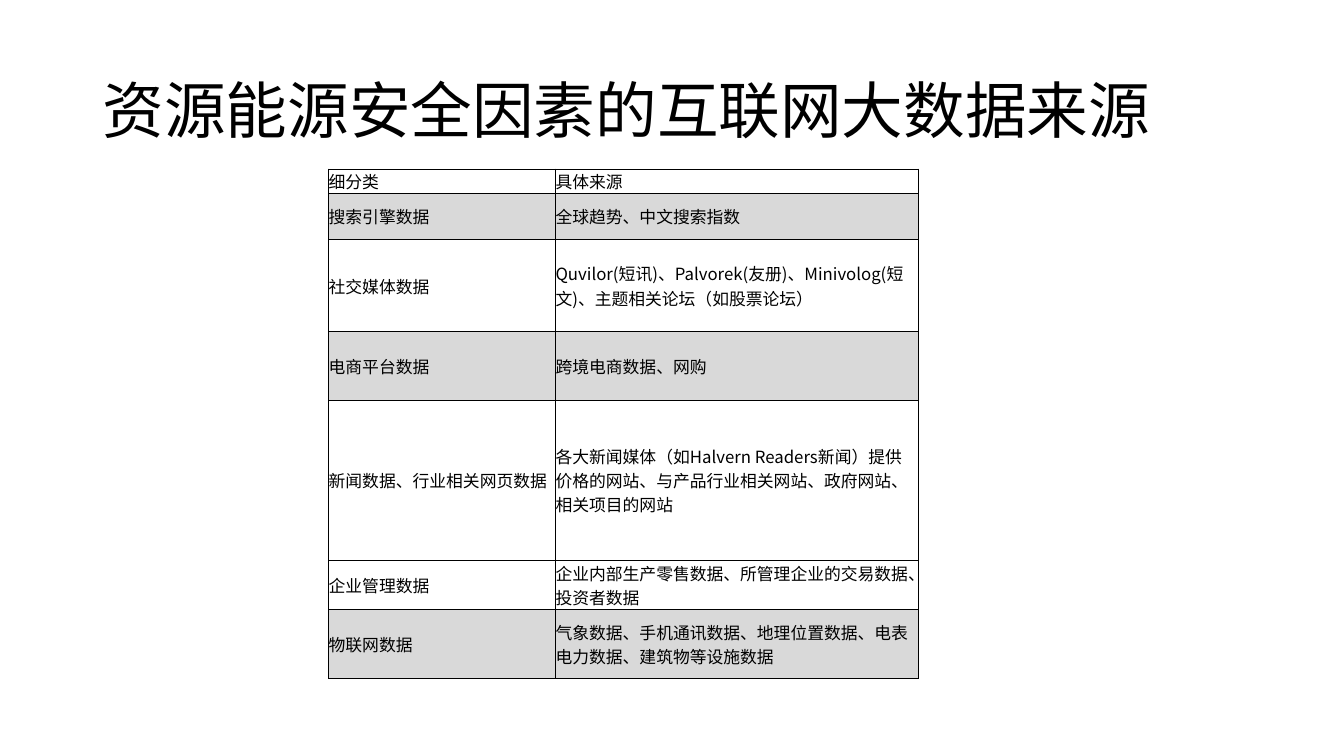
import pptx
import pptx.util
import pptx.dml.color
import pptx.enum.text
import pptx.oxml.ns
import lxml.etree

Inches = pptx.util.Inches
Pt = pptx.util.Pt

HEADING = "资源能源安全因素的互联网大数据来源"
SOURCES = [
    ("细分类", "具体来源", 0.24, False),
    ("搜索引擎数据", "全球趋势、中文搜索指数", 0.46, True),
    ("社交媒体数据", "Quvilor(短讯)、Palvorek(友册)、Minivolog(短文)、主题相关论坛（如股票论坛）", 0.91, False),
    ("电商平台数据", "跨境电商数据、网购", 0.68, True),
    ("新闻数据、行业相关网页数据", "各大新闻媒体（如Halvern Readers新闻）提供价格的网站、与产品行业相关网站、政府网站、相关项目的网站", 1.59, False),
    ("企业管理数据", "企业内部生产零售数据、所管理企业的交易数据、投资者数据", 0.49, False),
    ("物联网数据", "气象数据、手机通讯数据、地理位置数据、电表电力数据、建筑物等设施数据", 0.68, True),
]
COLUMN_WIDTHS = (2.25, 3.6)
TABLE_LEFT, TABLE_TOP = 3.26, 1.68
THEME = {
    "ink": "000000", "band": "D9D9D9",
    "heading_font": "Calibri", "body_font": "Noto Sans CJK SC",
    "heading_size": 44, "body_size": 12,
    "line": 1, "header_line": 1.5, "outer_line": 0.75,
}


def rgb(name):
    return pptx.dml.color.RGBColor.from_string(THEME[name])


def add_run(paragraph, words, role):
    run = paragraph.add_run()
    run.text = words
    run.font.name = THEME[role + "_font"]
    run.font.size = Pt(THEME[role + "_size"])
    run.font.color.rgb = rgb("ink")
    east_asian = lxml.etree.SubElement(run.font._element, pptx.oxml.ns.qn("a:ea"))
    east_asian.set("typeface", THEME["body_font"])


def add_border(cell, side, width):
    qn = pptx.oxml.ns.qn
    border = lxml.etree.SubElement(cell._tc.get_or_add_tcPr(), qn("a:ln" + side))
    border.set("w", str(Pt(width)))
    paint = lxml.etree.SubElement(border, qn("a:solidFill"))
    lxml.etree.SubElement(paint, qn("a:srgbClr")).set("val", THEME["ink"])


def add_heading(slide):
    heading = slide.shapes.add_textbox(Inches(0.92), Inches(0.4), Inches(11.5), Inches(1.45))
    frame = heading.text_frame
    frame.word_wrap = True
    frame.vertical_anchor = pptx.enum.text.MSO_ANCHOR.MIDDLE
    frame.paragraphs[0].line_spacing = 0.9
    add_run(frame.paragraphs[0], HEADING, "heading")


def fill_cell(cell, words, row, column, banded):
    cell.margin_left = cell.margin_right = cell.margin_top = cell.margin_bottom = 0
    cell.vertical_anchor = pptx.enum.text.MSO_ANCHOR.MIDDLE
    add_run(cell.text_frame.paragraphs[0], words, "body")
    widths = {
        "L": THEME["line"],
        "R": THEME["outer_line"] if column == len(COLUMN_WIDTHS) - 1 else THEME["line"],
        "T": THEME["header_line"] if row == 1 else THEME["line"],
        "B": THEME["header_line"] if row == 0 else THEME["line"],
    }
    for side, width in widths.items():
        add_border(cell, side, width)
    if banded:
        cell.fill.solid()
        cell.fill.fore_color.rgb = rgb("band")
    else:
        cell.fill.background()


def add_sources(slide):
    total_height = sum(height for _, _, height, _ in SOURCES)
    table = slide.shapes.add_table(
        len(SOURCES), len(COLUMN_WIDTHS), Inches(TABLE_LEFT), Inches(TABLE_TOP),
        Inches(sum(COLUMN_WIDTHS)), Inches(total_height)).table
    table.first_row = False
    table.horz_banding = False
    for column, width in enumerate(COLUMN_WIDTHS):
        table.columns[column].width = Inches(width)
    for row, (category, source, height, banded) in enumerate(SOURCES):
        table.rows[row].height = Inches(height)
        for column, words in enumerate((category, source)):
            fill_cell(table.cell(row, column), words, row, column, banded)


def main():
    deck = pptx.Presentation()
    deck.slide_width = Inches(13.33)
    deck.slide_height = Inches(7.5)
    slide = deck.slides.add_slide(deck.slide_layouts[6])
    add_heading(slide)
    add_sources(slide)
    deck.save("out.pptx")


if __name__ == "__main__":
    main()
